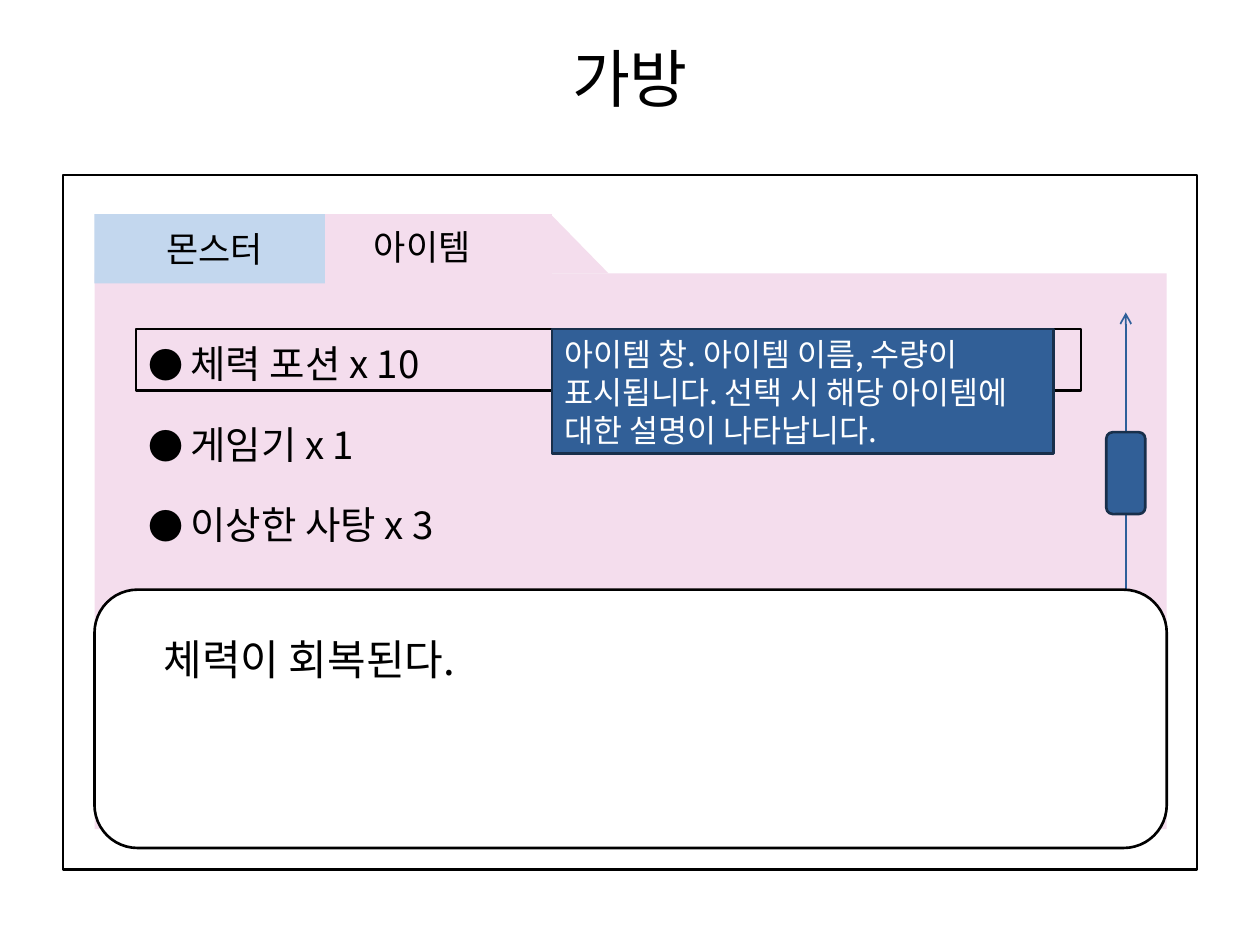
from lxml.etree import SubElement
from pptx import Presentation
from pptx.dml.color import RGBColor
from pptx.enum.shapes import MSO_CONNECTOR, MSO_SHAPE
from pptx.enum.text import MSO_ANCHOR, PP_ALIGN
from pptx.oxml.ns import qn
from pptx.util import Inches, Pt

FONT = "Noto Sans CJK KR"
COLORS = {
    "ink": "000000",
    "paper": "FFFFFF",
    "pink": "F4DDED",
    "sky": "C3D7EE",
    "blue": "315F97",
    "navy": "182F4B",
    "track": "2E5F9A",
}
ITEMS = ["체력 포션 x 10", "게임기 x 1", "이상한 사탕 x 3"]


def rgb(name):
    return RGBColor.from_string(COLORS[name])


def add_box(s, kind, box, fill=None, line=None):
    sp = s.shapes.add_shape(kind, *map(Inches, box))
    sp.shadow.inherit = False
    if fill:
        sp.fill.solid()
        sp.fill.fore_color.rgb = rgb(fill)
    else:
        sp.fill.background()
    if line:
        sp.line.color.rgb = rgb(line)
        sp.line.width = Pt(1.5)
    else:
        sp.line.fill.background()
    return sp


def write(sp, runs, color="ink", align=PP_ALIGN.LEFT, anchor=MSO_ANCHOR.TOP):
    tf = sp.text_frame
    for name, value in {"word_wrap": True, "vertical_anchor": anchor}.items():
        setattr(tf, name, value)
    p = tf.paragraphs[0]
    p.alignment = align
    for text, size in runs:
        r = p.add_run()
        r.text = text
        for name, value in {"name": FONT, "size": Pt(size)}.items():
            setattr(r.font, name, value)
        r.font.color.rgb = rgb(color)
        SubElement(r.font._element, qn("a:ea"), typeface=FONT)


def add_text(s, box, runs, **fmt):
    write(s.shapes.add_textbox(*map(Inches, box)), runs, **fmt)


def add_title(s, box):
    add_text(s, box, [("가방", 36)], align=PP_ALIGN.CENTER, anchor=MSO_ANCHOR.MIDDLE)


def add_folder(s, box):
    x, y, w, h = box
    tab_h, slope_w, slope_h = 0.55, 0.46, 0.47
    add_box(s, MSO_SHAPE.RECTANGLE, (x, y + slope_h, w, h - slope_h), "pink")
    tabs = [
        ("아이템", 1.77, 1.86, "pink", 0.35, 0.04),
        ("몬스터", 0, 1.83, "sky", 0.47, 0.06),
    ]
    for label, dx, tab_w, fill, pad_x, pad_y in tabs:
        left = x + dx
        add_box(s, MSO_SHAPE.RECTANGLE, (left, y, tab_w, tab_h), fill)
        add_text(s, (left + pad_x, y + pad_y, 1.3, 0.43), [(label, 20)])
    add_box(s, MSO_SHAPE.RIGHT_TRIANGLE, (x + 3.62, y, slope_w, slope_h), "pink")


def add_items(s, box):
    x, y, w, h = box
    add_box(s, MSO_SHAPE.RECTANGLE, (x, y, w, 0.49), line="ink")
    pitch = h / len(ITEMS)
    for i, item in enumerate(ITEMS):
        runs = [("●", 20), (" ", 18), (item, 22)]
        add_text(s, (x, y + 0.04 + i * pitch, 3.3, 0.45), runs)


def add_scrollbar(s, box):
    x, y, w, h = box
    mid = x + w / 2
    track = s.shapes.add_connector(
        MSO_CONNECTOR.STRAIGHT, *map(Inches, (mid, y, mid, y + h))
    )
    track.line.color.rgb = rgb("track")
    track.line.width = Pt(1)
    ln = track.line._get_or_add_ln()
    for end in ("a:headEnd", "a:tailEnd"):
        SubElement(ln, qn(end), type="arrow")
    SubElement(track._element.spPr, qn("a:effectLst"))
    add_box(s, MSO_SHAPE.ROUNDED_RECTANGLE, (x, y + 0.95, w, 0.65), "blue", "navy")


def add_description(s, box):
    x, y, w, h = box
    add_box(s, MSO_SHAPE.ROUNDED_RECTANGLE, box, "paper", "ink")
    add_text(s, (x + 0.45, y + 0.3, 3.62, 0.5), [("체력이 회복된다.", 24)])


def add_note(s, box):
    sp = add_box(s, MSO_SHAPE.RECTANGLE, box, "blue", "navy")
    text = "아이템 창. 아이템 이름, 수량이 표시됩니다. 선택 시 해당 아이템에 대한 설명이 나타납니다."
    write(sp, [(text, 18)], color="paper")


def main():
    prs = Presentation()
    prs.slide_width, prs.slide_height = Inches(10), Inches(7.5)
    s = prs.slides.add_slide(prs.slide_layouts[6])
    add_title(s, (0.5, 0.3, 9, 0.62))
    add_box(s, MSO_SHAPE.RECTANGLE, (0.5, 1.39, 9, 5.51), line="ink")
    add_folder(s, (0.75, 1.7, 8.51, 4.88))
    add_items(s, (1.08, 2.61, 7.5, 1.92))
    add_scrollbar(s, (8.78, 2.48, 0.31, 3.71))
    add_description(s, (0.75, 4.68, 8.51, 2.05))
    add_note(s, (4.38, 2.61, 3.98, 0.99))
    prs.save("out.pptx")


if __name__ == "__main__":
    main()
